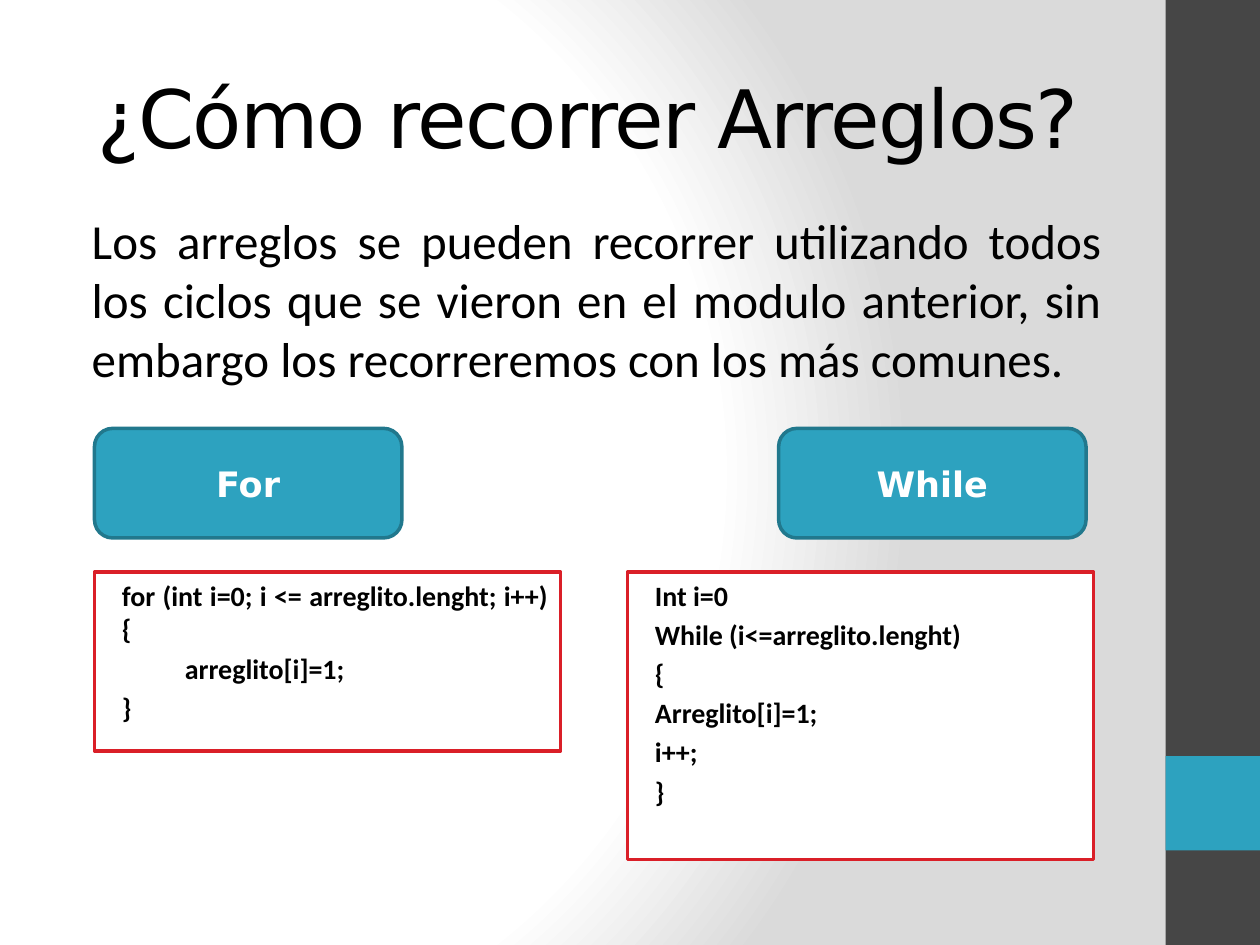
from lxml import etree
from pptx import Presentation, util as u
from pptx.dml.color import RGBColor
from pptx.enum import shapes, text
from pptx.oxml import parse_xml
from pptx.oxml.ns import nsdecls

BLACK = RGBColor(0, 0, 0)
WHITE = RGBColor(255, 255, 255)
SILVER = RGBColor(0xDA, 0xDA, 0xDA)
CHARCOAL = RGBColor(0x46, 0x46, 0x46)
TEAL = RGBColor(0x2D, 0xA2, 0xBF)
DARK_TEAL = RGBColor(0x21, 0x78, 0x8D)
RED = RGBColor(0xDA, 0x1F, 0x28)
HEADING_FONT, BODY_FONT = "DejaVu Sans", "Calibri"
ALIGN, KIND = text.PP_ALIGN, shapes.MSO_SHAPE

deck = Presentation()
deck.slide_width, deck.slide_height = u.Inches(10), u.Inches(7.5)
slide = deck.slides.add_slide(deck.slide_layouts[5])

backdrop = slide.background.fill
backdrop.solid()
backdrop.fore_color.rgb = WHITE
stops = "".join(f'<a:gs pos="{share * 1000}"><a:srgbClr val="{color}"/></a:gs>'
                for share, color in ((0, WHITE), (75, WHITE), (100, SILVER)))
glow = parse_xml(
    f'<a:gradFill {nsdecls("a")} rotWithShape="1"><a:gsLst>{stops}</a:gsLst>'
    '<a:path path="circle"><a:fillToRect l="20000" t="50000" r="100000" b="50000"/>'
    '</a:path></a:gradFill>')
plain = slide.background._cSld.bg.bgPr[0]
plain.getparent().replace(plain, glow)


def add_block(kind, box, fill, line=None):
    block = slide.shapes.add_shape(kind, *map(u.Inches, box))
    block.shadow.inherit = False
    block.fill.solid()
    block.fill.fore_color.rgb = fill
    if line is None:
        block.line.fill.background()
    else:
        block.line.color.rgb = line
        block.line.width = u.Pt(2)
    return block


def write(frame, lines, size, font, color, align, anchor, bold=False, indent=False):
    frame.word_wrap = True
    frame.auto_size = text.MSO_AUTO_SIZE.NONE
    frame.vertical_anchor = anchor
    for row, words in enumerate(lines):
        paragraph = frame.add_paragraph() if row else frame.paragraphs[0]
        paragraph.alignment = align
        if indent:
            properties = paragraph._p.get_or_add_pPr()
            properties.set("marL", str(u.Inches(0.12)))
            properties.set("indent", "0")
            paragraph.space_before = u.Pt(size * 0.2)
        run = paragraph.add_run()
        run.text = words
        run.font.size, run.font.name = u.Pt(size), font
        run.font.bold, run.font.color.rgb = bold, color


TOP, MIDDLE = text.MSO_ANCHOR.TOP, text.MSO_ANCHOR.MIDDLE

add_block(KIND.RECTANGLE, (9.25, 0, 0.75, 7.5), CHARCOAL)
add_block(KIND.RECTANGLE, (9.25, 6, 0.75, 0.75), TEAL)

title = slide.shapes.title
title.left, title.top, title.width, title.height = map(u.Inches, (0.5, 0.3, 8.33, 1.25))
write(title.text_frame, ["¿Cómo recorrer Arreglos?"], 46, HEADING_FONT, BLACK,
      ALIGN.CENTER, MIDDLE)
title.text_frame.paragraphs[0].runs[0].font._element.set("spc", "-100")

intro = slide.shapes.add_textbox(*map(u.Inches, (0.51, 1.62, 8.33, 0.98)))
write(intro.text_frame,
      ["Los arreglos se pueden recorrer utilizando todos los ciclos que se vieron en el "
       "modulo anterior, sin embargo los recorreremos con los más comunes."],
      28, BODY_FONT, BLACK, ALIGN.JUSTIFY, TOP, indent=True)

loops = [
    ("For", 0.75, 0.75, 1.42,
     ["for (int i=0; i <= arreglito.lenght; i++) {", "\tarreglito[i]=1;", "}"]),
    ("While", 6.18, 4.98, 2.28,
     ["Int i=0", "While (i<=arreglito.lenght)", "{", "Arreglito[i]=1;", "i++;", "}"]),
]
for name, label_left, code_left, code_height, code in loops:
    label = add_block(KIND.ROUNDED_RECTANGLE, (label_left, 3.4, 2.44, 0.87), TEAL, DARK_TEAL)
    write(label.text_frame, [name], 20, HEADING_FONT, WHITE, ALIGN.CENTER, MIDDLE, bold=True)
    listing = add_block(KIND.RECTANGLE, (code_left, 4.54, 3.7, code_height), WHITE, RED)
    write(listing.text_frame, code, 16, BODY_FONT, BLACK, ALIGN.JUSTIFY, TOP,
          bold=True, indent=True)

deck.save("out.pptx")
